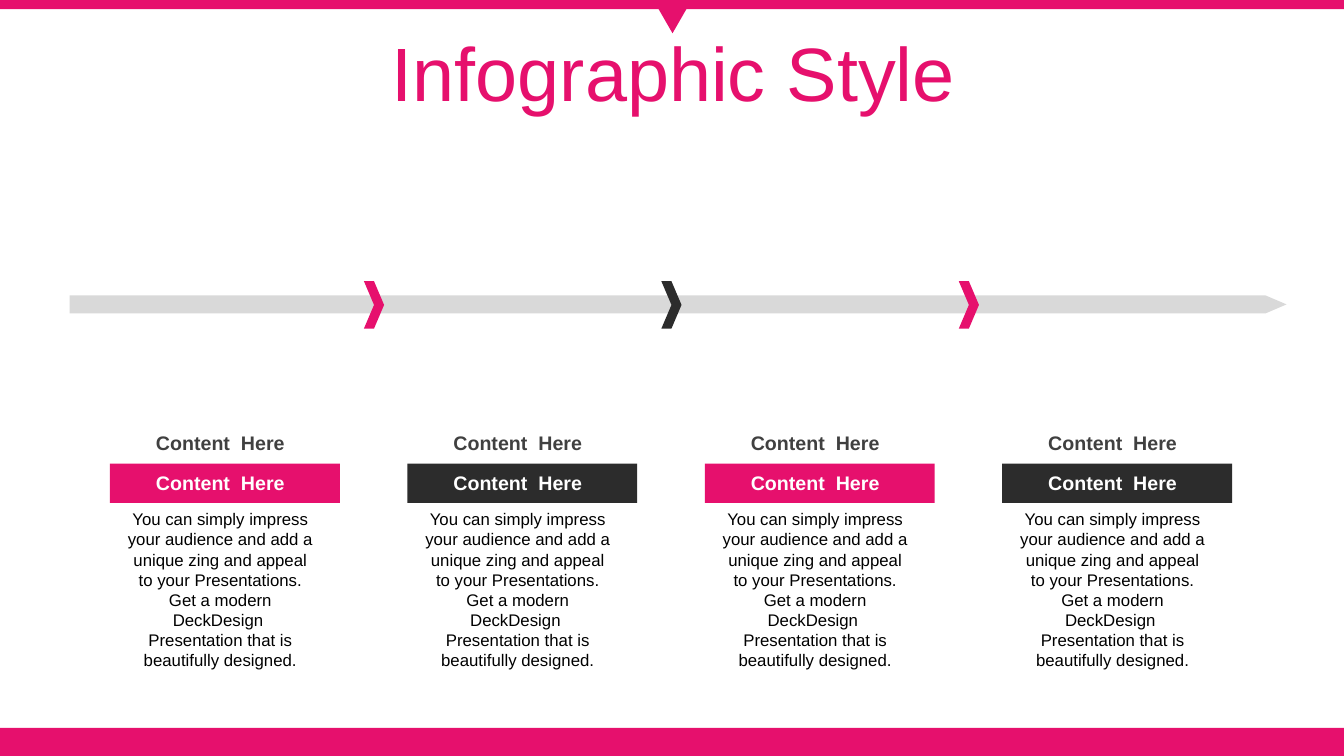
from pptx import Presentation
from pptx.dml.color import RGBColor
from pptx.enum.shapes import MSO_SHAPE
from pptx.enum.text import MSO_ANCHOR, MSO_AUTO_SIZE, PP_ALIGN
from pptx.util import Inches, Pt

PINK = RGBColor(0xE6, 0x10, 0x6D)
CHARCOAL = RGBColor(0x2C, 0x2C, 0x2C)
LIGHT_GRAY = RGBColor(0xD9, 0xD9, 0xD9)
DARK_GRAY = RGBColor(0x40, 0x40, 0x40)
WHITE = RGBColor(0xFF, 0xFF, 0xFF)
BLACK = RGBColor(0x00, 0x00, 0x00)

HEADING = "Content  Here"
DESCRIPTION = (
    "You can simply impress your audience and add a unique zing and appeal "
    "to your Presentations. Get a modern DeckDesign  Presentation that is "
    "beautifully designed."
)
COLUMN_PITCH = 2.95

presentation = Presentation()
presentation.slide_width = Inches(13.33)
presentation.slide_height = Inches(7.5)
slide = presentation.slides.add_slide(presentation.slide_layouts[5])


def add_filled_shape(kind, left, top, width, height, color):
    shape = slide.shapes.add_shape(
        kind, Inches(left), Inches(top), Inches(width), Inches(height)
    )
    shape.shadow.inherit = False
    shape.fill.solid()
    shape.fill.fore_color.rgb = color
    shape.line.fill.background()
    return shape


def add_label(left, top, height, text, size, color, bold, anchor):
    box = slide.shapes.add_textbox(
        Inches(left), Inches(top), Inches(1.97), Inches(height)
    )
    frame = box.text_frame
    frame.word_wrap = True
    frame.margin_left = 0
    frame.vertical_anchor = anchor
    frame.text = text
    paragraph = frame.paragraphs[0]
    paragraph.alignment = PP_ALIGN.CENTER
    paragraph.font.name = "Arial"
    paragraph.font.size = Pt(size)
    paragraph.font.bold = bold
    paragraph.font.color.rgb = color


# Page frame
add_filled_shape(MSO_SHAPE.RECTANGLE, 0, 7.22, 13.33, 0.28, PINK)
add_filled_shape(MSO_SHAPE.RECTANGLE, 0, 0, 13.33, 0.09, PINK)
pointer = add_filled_shape(MSO_SHAPE.ISOSCELES_TRIANGLE, 6.48, 0, 0.38, 0.33, PINK)
pointer.rotation = 180

# Title
title = slide.shapes.title
title.left, title.top = Inches(0.35), Inches(0.37)
title.width, title.height = Inches(12.66), Inches(0.79)
title.text_frame.text = "Infographic Style"
title.text_frame.word_wrap = True
title.text_frame.auto_size = MSO_AUTO_SIZE.NONE
title.text_frame.vertical_anchor = MSO_ANCHOR.MIDDLE
paragraph = title.text_frame.paragraphs[0]
paragraph.alignment = PP_ALIGN.CENTER
paragraph.line_spacing = 0.9
paragraph.font.name = "Arial"
paragraph.font.size = Pt(54)
paragraph.font.color.rgb = PINK

# Timeline arrow
builder = slide.shapes.build_freeform(Inches(0.69), Inches(2.93))
arrow_points = [(12.55, 2.93), (12.76, 3.02), (12.55, 3.11), (0.69, 3.11)]
builder.add_line_segments([(Inches(x), Inches(y)) for x, y in arrow_points], close=True)
timeline = builder.convert_to_shape()
timeline.shadow.inherit = False
timeline.fill.solid()
timeline.fill.fore_color.rgb = LIGHT_GRAY
timeline.line.fill.background()

# Timeline markers, one between each pair of columns
for index, color in enumerate([PINK, CHARCOAL, PINK]):
    add_filled_shape(
        MSO_SHAPE.CHEVRON, 3.61 + index * COLUMN_PITCH, 2.79, 0.2, 0.47, color
    )

# Content columns
for index, color in enumerate([PINK, CHARCOAL, PINK, CHARCOAL]):
    offset = index * COLUMN_PITCH
    left = 1.25 + offset
    add_filled_shape(MSO_SHAPE.RECTANGLE, 1.09 + offset, 4.6, 2.28, 0.39, color)
    add_label(left, 4.22, 0.34, HEADING, 14, DARK_GRAY, True, MSO_ANCHOR.MIDDLE)
    add_label(left, 4.62, 0.34, HEADING, 14, WHITE, True, MSO_ANCHOR.MIDDLE)
    add_label(left, 5, 1.72, DESCRIPTION, 12, BLACK, False, MSO_ANCHOR.TOP)

presentation.save("out.pptx")
